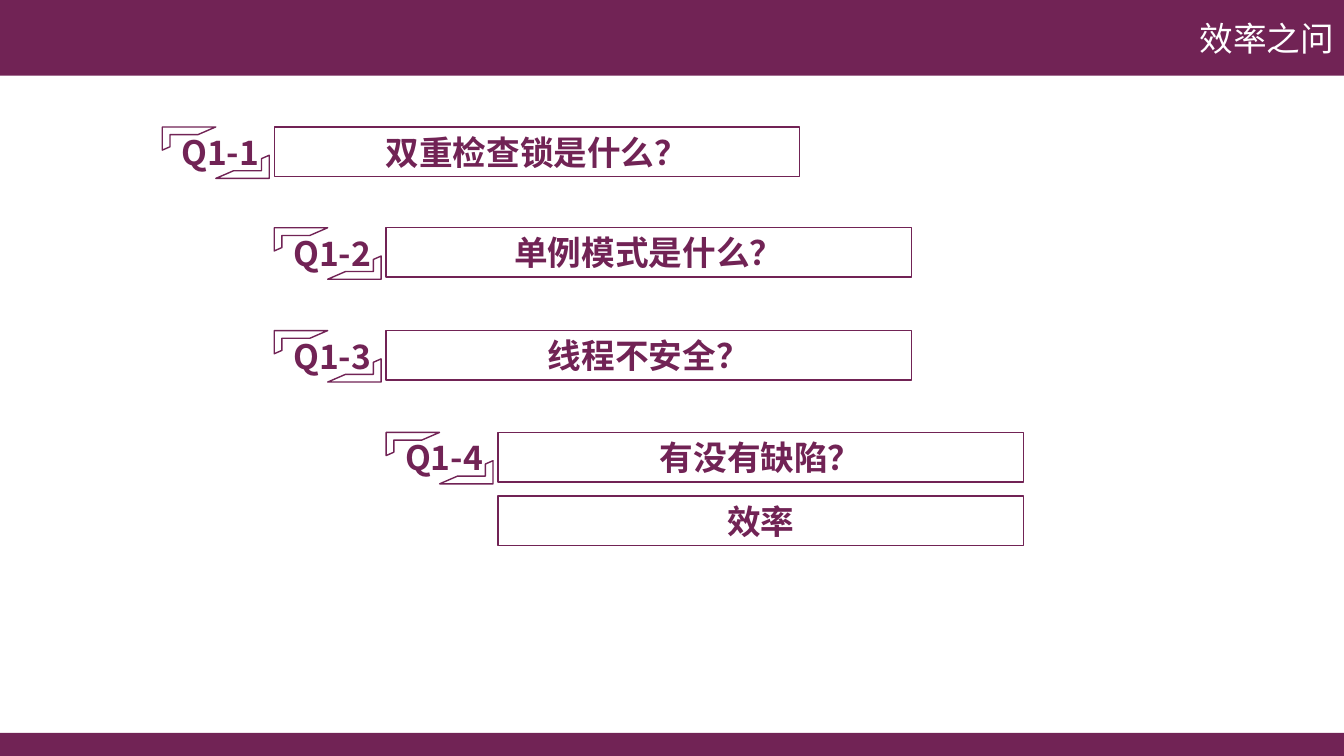
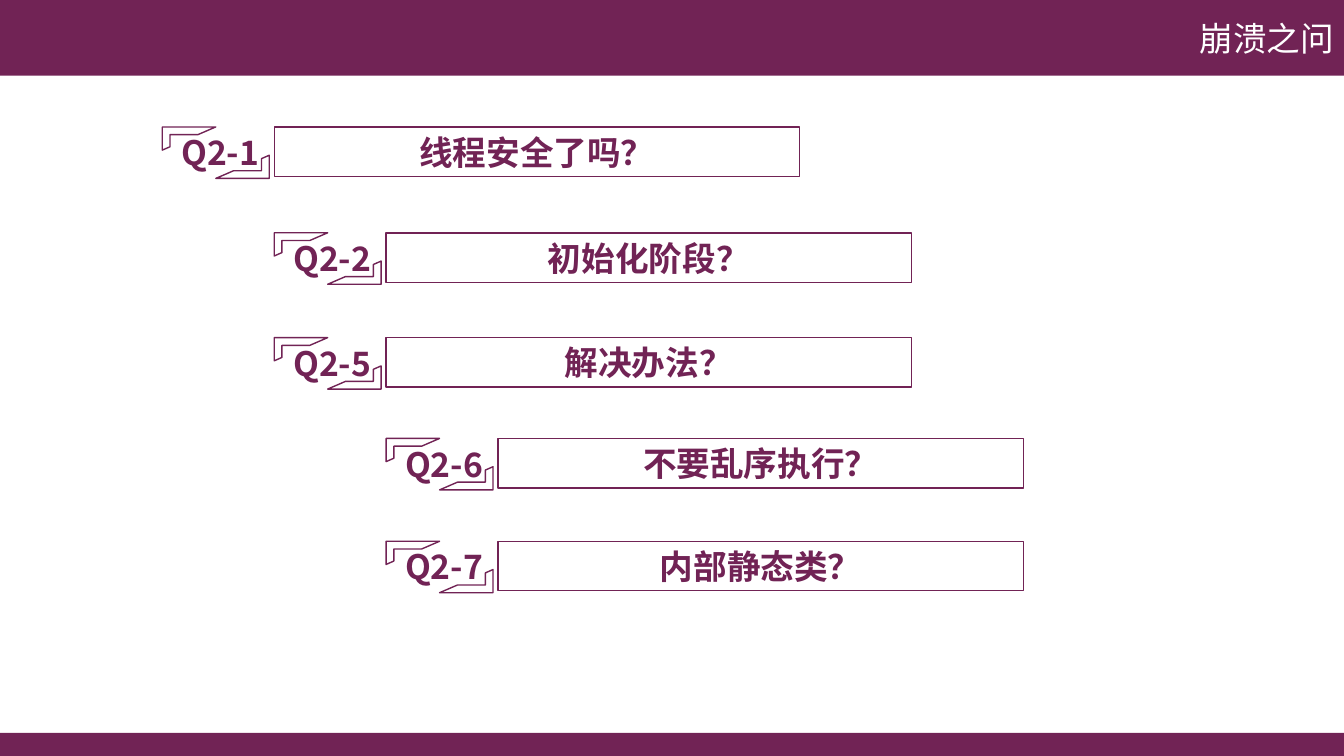
from lxml.etree import SubElement
from pptx import Presentation
from pptx.dml.color import RGBColor
from pptx.enum.lang import MSO_LANGUAGE_ID
from pptx.enum.shapes import MSO_SHAPE
from pptx.enum.text import MSO_ANCHOR, MSO_AUTO_SIZE, PP_ALIGN
from pptx.oxml.ns import qn
from pptx.util import Inches, Pt

COLORS = {"plum": "712355", "white": "FFFFFF"}
FONT = "Noto Sans CJK SC"
WIDTH, HEIGHT = 13.33, 7.5
HEADER_H, FOOTER_H = 0.75, 0.23
INDENT, FIRST_LEFT = 1.11, 1.61
BOX_W, BOX_H = 5.21, 0.49
CORNER_W, CORNER_H, CORNER_DROP = 0.53, 0.23, 0.28

# Each question: label, text, indent level, top
SLIDES = [
    ("效率之问", [
        ("Q1-1", "双重检查锁是什么？", 0, 1.26),
        ("Q1-2", "单例模式是什么？", 1, 2.26),
        ("Q1-3", "线程不安全？", 1, 3.28),
        ("Q1-4", "有没有缺陷？", 2, 4.29),
        (None, "效率", 2, 4.92),
    ]),
    ("崩溃之问", [
        ("Q2-1", "线程安全了吗？", 0, 1.26),
        ("Q2-2", "初始化阶段？", 1, 2.31),
        ("Q2-5", "解决办法？", 1, 3.35),
        ("Q2-6", "不要乱序执行？", 2, 4.35),
        ("Q2-7", "内部静态类？", 2, 5.37),
    ]),
]


def set_all(target, values):
    """Set every attribute named in a dict of format values."""
    for name, value in values.items():
        setattr(target, name, value)


def place(left, top, width, height):
    """Return a position and size in inches."""
    return [Inches(value) for value in (left, top, width, height)]


class Deck:
    """Holds the shared style and the slide being built."""

    def __init__(self):
        """Start an empty widescreen presentation."""
        self.presentation = Presentation()
        set_all(self.presentation, {"slide_width": Inches(WIDTH),
                                    "slide_height": Inches(HEIGHT)})
        self.slide = None

    def color(self, name):
        """Look up a palette colour."""
        return RGBColor.from_string(COLORS[name])

    def paint(self, shape, fill, outline=None):
        """Fill a shape and give it a 1 pt outline or none."""
        shape.fill.solid()
        shape.fill.fore_color.rgb = self.color(fill)
        if outline:
            shape.line.color.rgb = self.color(outline)
            shape.line.width = Pt(1)
        else:
            shape.line.fill.background()

    def label(self, shape, text, color, align, bold=True, **frame_format):
        """Put one line of styled text into a shape."""
        frame = shape.text_frame
        set_all(frame, frame_format)
        paragraph = frame.paragraphs[0]
        paragraph.alignment = align
        run = paragraph.add_run()
        run.text = text
        set_all(run.font, {"name": FONT, "size": Pt(24), "bold": bold,
                           "language_id": MSO_LANGUAGE_ID.SIMPLIFIED_CHINESE})
        run.font.color.rgb = self.color(color)
        east_asian = SubElement(run.font._element, qn("a:ea"))
        east_asian.set("typeface", FONT)

    def shape(self, preset, area, fill, outline=None):
        """Add a flat preset shape."""
        shape = self.slide.shapes.add_shape(preset, *place(*area))
        shape.shadow.inherit = False
        self.paint(shape, fill, outline)
        return shape

    def start_slide(self, title):
        """Add a slide with its title band and footer band."""
        self.slide = self.presentation.slides.add_slide(
            self.presentation.slide_layouts[5])
        header = self.slide.shapes.title
        left, top, width, height = place(0, 0, WIDTH, HEADER_H)
        set_all(header, {"left": left, "top": top,
                         "width": width, "height": height})
        self.paint(header, "plum")
        self.label(header, title, "white", PP_ALIGN.RIGHT, bold=False,
                   vertical_anchor=MSO_ANCHOR.MIDDLE,
                   auto_size=MSO_AUTO_SIZE.NONE)
        self.shape(MSO_SHAPE.RECTANGLE,
                   (0, HEIGHT - FOOTER_H, WIDTH, FOOTER_H), "plum")

    def badge(self, number, left, top):
        """Add a question number between two opposite corner frames."""
        for step, rotation in enumerate((0, 180)):
            corner = self.shape(
                MSO_SHAPE.HALF_FRAME,
                (left + step * CORNER_W, top + step * CORNER_DROP,
                 CORNER_W, CORNER_H), "white", "plum")
            corner.rotation = rotation
        caption = self.slide.shapes.add_textbox(
            *place(left + 0.09, top, 1, 0.5))
        self.label(caption, number, "plum", PP_ALIGN.LEFT, word_wrap=False,
                   auto_size=MSO_AUTO_SIZE.SHAPE_TO_FIT_TEXT)

    def question(self, number, text, level, top):
        """Add a framed question, with its badge if it has a number."""
        left = FIRST_LEFT + level * INDENT
        answer = self.shape(MSO_SHAPE.RECTANGLE,
                            (left + INDENT, top, BOX_W, BOX_H),
                            "white", "plum")
        self.label(answer, text, "plum", PP_ALIGN.CENTER,
                   vertical_anchor=MSO_ANCHOR.MIDDLE)
        if number:
            self.badge(number, left, top)


deck = Deck()
for title, questions in SLIDES:
    deck.start_slide(title)
    for question in questions:
        deck.question(*question)
deck.presentation.save("out.pptx")
